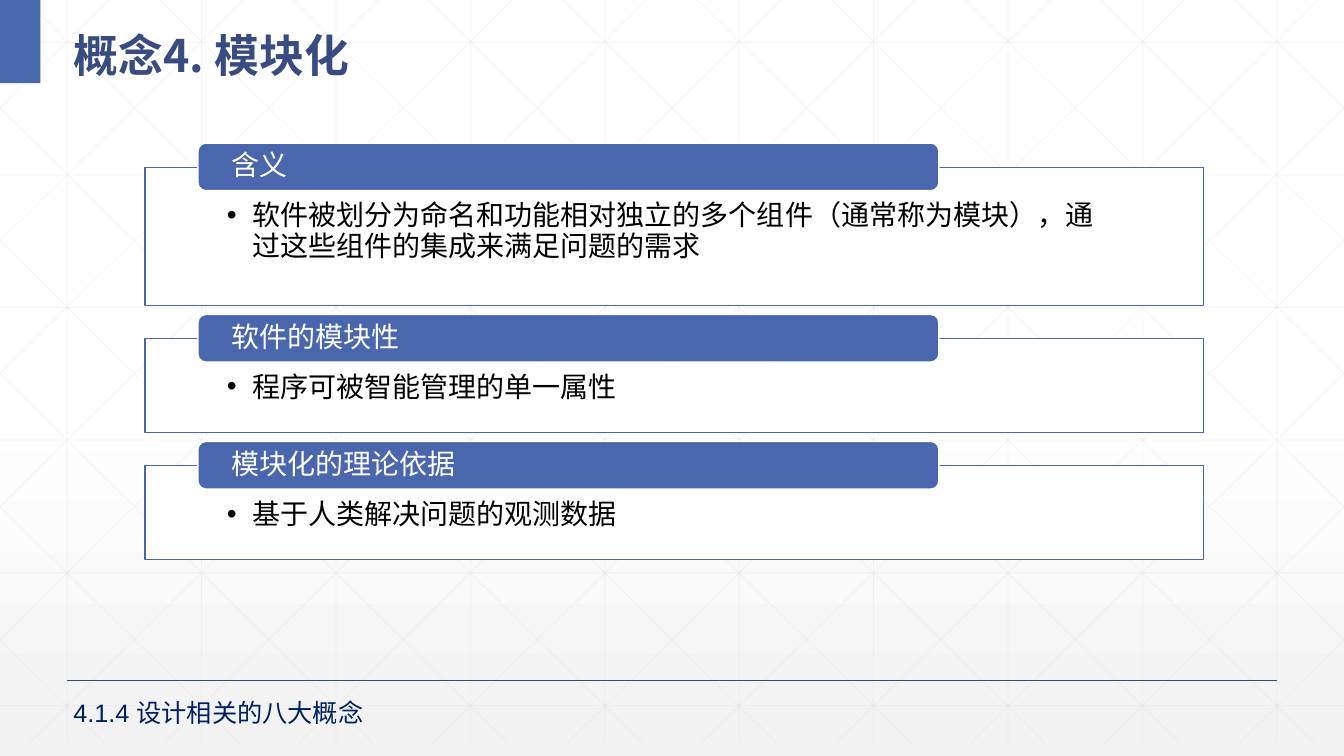
from dataclasses import dataclass

from lxml import etree
from pptx import Presentation
from pptx.dml.color import RGBColor
from pptx.enum.lang import MSO_LANGUAGE_ID
from pptx.enum.shapes import MSO_CONNECTOR, MSO_SHAPE
from pptx.enum.text import MSO_ANCHOR, MSO_AUTO_SIZE, PP_ALIGN
from pptx.oxml import parse_xml
from pptx.oxml.ns import nsdecls, qn
from pptx.util import Inches, Pt

RECT, ROUND = MSO_SHAPE.RECTANGLE, MSO_SHAPE.ROUNDED_RECTANGLE
STRAIGHT = MSO_CONNECTOR.STRAIGHT
TOP, MIDDLE = MSO_ANCHOR.TOP, MSO_ANCHOR.MIDDLE
LEFT = PP_ALIGN.LEFT
NO_AUTOFIT = MSO_AUTO_SIZE.NONE
CHINESE = MSO_LANGUAGE_ID.SIMPLIFIED_CHINESE

WIDTH, HEIGHT = Inches(13.33), Inches(7.5)
TITLE_ONLY = 5

CARDS = [  # heading, body, height in rows
    ("含义", "软件被划分为命名和功能相对独立的多个组件（通常称为模块），通过这些组件的集成来满足问题的需求", 18.27),
    ("软件的模块性", "程序可被智能管理的单一属性", 12.4),
    ("模块化的理论依据", "基于人类解决问题的观测数据", 12.4),
]


@dataclass(frozen=True)
class Theme:
    accent: str = "4A66AC"
    dark: str = "384C81"
    footer: str = "002060"
    mesh: str = "D9D9D9"
    shade: str = "F2F2F2"
    white: str = "FFFFFF"
    black: str = "000000"
    latin: str = "Arial"
    cjk: str = "Noto Sans CJK SC"
    title_size: int = 32
    body_size: int = 20
    footer_size: int = 18


class Deck:
    """Draws on one slide; positions are in a grid of 100 columns by 100 rows."""

    def __init__(self, prs, theme):
        self.theme = theme
        self.slide = prs.slides.add_slide(prs.slide_layouts[TITLE_ONLY])
        self.shapes = self.slide.shapes

    def place(self, x, y):
        return int(WIDTH * x / 100), int(HEIGHT * y / 100)

    def set_alpha(self, element, percent):
        color = next(element.iter(qn("a:srgbClr")))
        etree.SubElement(color, qn("a:alpha")).set("val", str(percent * 1000))

    def background(self):
        t = self.theme
        fill = self.slide.background.fill
        fill.gradient()
        fill.gradient_angle = 270
        stops = next(self.slide.element.iter(qn("a:gsLst")))
        new = parse_xml(
            f'<a:gsLst {nsdecls("a")}>'
            f'<a:gs pos="0"><a:srgbClr val="{t.white}"/></a:gs>'
            f'<a:gs pos="53000"><a:srgbClr val="{t.white}"/></a:gs>'
            f'<a:gs pos="100000"><a:srgbClr val="{t.shade}"><a:alpha val="65000"/></a:srgbClr></a:gs>'
            "</a:gsLst>")
        stops.getparent().replace(stops, new)

    def line(self, x1, y1, x2, y2, color, width, alpha=None):
        cxn = self.shapes.add_connector(STRAIGHT, *self.place(x1, y1), *self.place(x2, y2))
        cxn.line.color.rgb = RGBColor.from_string(color)
        cxn.line.width = Pt(width)
        props = cxn.element.spPr
        if alpha:
            self.set_alpha(props, alpha)
        etree.SubElement(props, qn("a:effectLst"))

    def mesh(self):
        """Faint upright, level and mirrored diagonal lines, clipped to the slide."""
        bottom, run, pitch = 98.3, 55.92, 10
        segments = [(5 + pitch * i, 0, 5 + pitch * i, bottom) for i in range(10)]
        segments += [(0, 5.6 + 17.54 * i, 100, 5.6 + 17.54 * i) for i in range(6)]
        for i in range(-5, 10):
            start = 1.88 + pitch * i
            x1, x2 = max(start, 0), min(start + run, 100)
            y1, y2 = ((x - start) * bottom / run for x in (x1, x2))
            segments += [(x1, y1, x2, y2), (100 - x1, y1, 100 - x2, y2)]
        for segment in segments:
            self.line(*segment, self.theme.mesh, 0.5, alpha=25)

    def box(self, kind, x, y, w, h, fill, line=None, alpha=None):
        sp = self.shapes.add_shape(kind, *self.place(x, y), *self.place(w, h))
        sp.shadow.inherit = False
        sp.fill.solid()
        sp.fill.fore_color.rgb = RGBColor.from_string(fill)
        if alpha:
            self.set_alpha(sp.element.spPr, alpha)
        if line:
            sp.line.color.rgb = RGBColor.from_string(line)
            sp.line.width = Pt(1)
        else:
            sp.line.fill.background()
        return sp

    def text(self, sp, words, size, color, anchor=TOP, insets=(0.1, 0.05, 0.1, 0.05),
             spacing=1.0, bold=False, bullet=False, latin=None):
        tf = sp.text_frame
        left, top, right, bottom = map(Inches, insets)
        frame = {"word_wrap": True, "auto_size": NO_AUTOFIT, "vertical_anchor": anchor,
                 "margin_left": left, "margin_top": top, "margin_right": right, "margin_bottom": bottom}
        for name, value in frame.items():
            setattr(tf, name, value)
        p = tf.paragraphs[0]
        p.alignment, p.line_spacing = LEFT, spacing
        if bullet:
            props = p._p.get_or_add_pPr()
            props.set("marL", str(Inches(0.25)))
            props.set("indent", str(-Inches(0.25)))
            etree.SubElement(props, qn("a:buFont")).set("typeface", self.theme.latin)
            etree.SubElement(props, qn("a:buChar")).set("char", "•")
        r = p.add_run()
        r.text = words
        font = {"size": Pt(size), "bold": bold, "name": latin or self.theme.latin, "language_id": CHINESE}
        for name, value in font.items():
            setattr(r.font, name, value)
        r.font.color.rgb = RGBColor.from_string(color)
        east_asian = etree.Element(qn("a:ea"), typeface=self.theme.cjk)
        r._r.rPr.find(qn("a:latin")).addnext(east_asian)

    def title(self, words):
        t, sp = self.theme, self.shapes.title
        sp.left, sp.top = self.place(4.72, 1.33)
        sp.width, sp.height = self.place(93.15, 9.73)
        self.text(sp, words, t.title_size, t.dark, MIDDLE, spacing=1.3, bold=True, latin=t.cjk)
        sp.element.getparent().append(sp.element)  # bring in front of the mesh

    def footer(self, words):
        t = self.theme
        self.line(5, 90, 95, 90, t.dark, 1)
        sp = self.shapes.add_textbox(*self.place(4.72, 91.6), *self.place(28.35, 5.38))
        self.text(sp, words, t.footer_size, t.footer)

    def card(self, heading, body, y, height):
        t = self.theme
        panel = self.box(RECT, 10.8, y, 78.75, height, t.white, t.accent, alpha=90)
        self.text(panel, body, t.body_size, t.black, insets=(0.81, 0.34, 0.81, 0.16),
                  spacing=0.9, bullet=True)
        tab = self.box(ROUND, 14.73, y - 3.2, 55.13, 6.3, t.accent, t.white)
        self.text(tab, heading, t.body_size, t.white, MIDDLE, (0.31, 0, 0.31, 0), 0.9)


def main():
    prs = Presentation()
    prs.slide_width, prs.slide_height = WIDTH, HEIGHT
    deck = Deck(prs, Theme())
    deck.background()
    deck.mesh()
    deck.box(RECT, 0, 0, 3, 11, deck.theme.accent)
    deck.title("概念4. 模块化")
    y, gap = 22.13, 4.4
    for heading, body, height in CARDS:
        deck.card(heading, body, y, height)
        y += height + gap
    deck.footer("4.1.4 设计相关的八大概念")
    prs.save("out.pptx")


if __name__ == "__main__":
    main()
